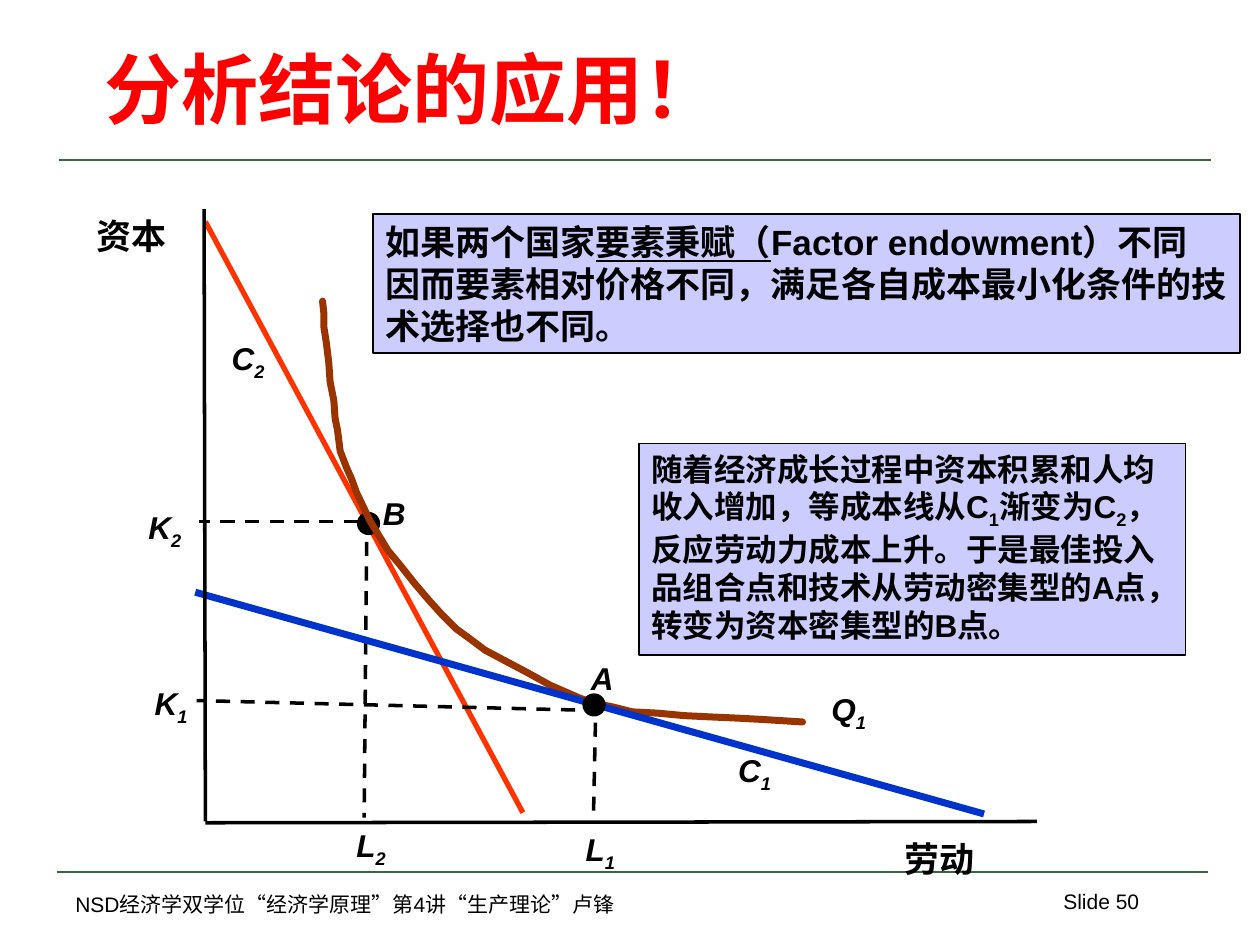
from lxml import etree
from pptx import Presentation
from pptx import util as u
from pptx.dml.color import RGBColor
from pptx.enum import dml, shapes, text
from pptx.oxml.ns import qn

BLACK = RGBColor(0x00, 0x00, 0x00)
RED = RGBColor(0xFF, 0x00, 0x00)
GREEN = RGBColor(0x37, 0x65, 0x46)
LILAC = RGBColor(0xCC, 0xCC, 0xFF)
ORANGE = RGBColor(0xFF, 0x33, 0x00)
BROWN = RGBColor(0x99, 0x33, 0x00)
BLUE = RGBColor(0x00, 0x33, 0xCC)
SUB, UNDERLINE = "sub", "underline"
LEFT, RIGHT = text.PP_ALIGN.LEFT, text.PP_ALIGN.RIGHT

ISOQUANT = [
    (0.93, 0.73), (0.94, 0.82), (0.94, 0.93), (0.96, 1.06), (0.98, 1.22),
    (0.99, 1.37), (1.02, 1.52), (1.03, 1.66), (1.05, 1.76), (1.07, 1.92),
    (1.12, 2.05), (1.16, 2.14), (1.2, 2.25), (1.31, 2.48), (1.45, 2.71),
    (1.55, 2.83), (1.66, 2.97), (1.78, 3.11), (1.88, 3.22), (1.99, 3.33),
    (2.1, 3.41), (2.22, 3.5), (2.37, 3.58), (2.54, 3.67), (2.74, 3.78),
    (2.97, 3.88), (3.08, 3.92), (3.23, 3.95), (3.39, 3.99), (3.59, 4),
    (3.8, 4.02), (4.01, 4.03), (4.23, 4.04), (4.42, 4.05), (4.74, 4.07),
]
LABELS = [
    ("L", "2", 1.1, 4.85, 0.43), ("L", "1", 2.92, 4.88, 0.43),
    ("C", "2", 0.11, 0.98, 0.46), ("C", "1", 4.13, 4.25, 0.46),
    ("K", "2", -0.55, 2.32, 0.46), ("K", "1", -0.5, 3.72, 0.46),
    ("Q", "1", 4.87, 3.77, 0.48),
    ("B", "", 1.31, 2.21, 0.38), ("A", "", 2.96, 3.52, 0.38),
]


def add_line(s, x1, y1, x2, y2, color, width, dashed=False):
    ends = [u.Inches(v) for v in (x1, y1, x2, y2)]
    c = s.shapes.add_connector(shapes.MSO_CONNECTOR.STRAIGHT, *ends)
    c.line.color.rgb = color
    c.line.width = u.Pt(width)
    if dashed:
        c.line.dash_style = dml.MSO_LINE.DASH
    etree.SubElement(c._element.spPr, qn("a:effectLst"))


def add_text(s, x, y, w, h, paragraphs, size, bold=True, italic=False,
             align=LEFT, wrap=False):
    sp = s.shapes.add_textbox(*[u.Inches(v) for v in (x, y, w, h)])
    tf = sp.text_frame
    tf.word_wrap = wrap
    for i, runs in enumerate(paragraphs):
        p = tf.paragraphs[0] if i == 0 else tf.add_paragraph()
        p.alignment = align
        f = p.font
        f.name, f.size, f.bold, f.italic = "Arial", u.Pt(size), bold, italic
        f.color.rgb = BLACK
        for words, style in runs:
            r = p.add_run()
            r.text = words
            if style == SUB:
                r._r.get_or_add_rPr().set("baseline", "-25000")
            elif style == UNDERLINE:
                r.font.underline = True
    return sp


def add_note(s, x, y, w, h, paragraphs, size, wrap):
    sp = add_text(s, x, y, w, h, paragraphs, size, wrap=wrap)
    sp.fill.solid()
    sp.fill.fore_color.rgb = LILAC
    sp.line.color.rgb = BLACK
    sp.line.width = u.Pt(1)


def add_header(s, x, y, w, h):
    sp = s.shapes.title
    sp.left, sp.top, sp.width, sp.height = [u.Inches(v) for v in (x, y, w, h)]
    tf = sp.text_frame
    tf.text = "分析结论的应用！"
    tf.auto_size = text.MSO_AUTO_SIZE.NONE
    tf.vertical_anchor = text.MSO_ANCHOR.BOTTOM
    p = tf.paragraphs[0]
    p.alignment = LEFT
    f = p.font
    f.name, f.size, f.bold = "Arial", u.Pt(44), True
    f.color.rgb = RED
    add_line(s, x - 0.26, y + 1.03, x + 8.88, y + 1.03, GREEN, 1.5)


def add_footer(s, x, y):
    add_line(s, x, y, x + 9.14, y, GREEN, 1.5)
    credit = "NSD经济学双学位“经济学原理”第4讲“生产理论”卢锋"
    add_text(s, x + 0.05, y + 0.11, 6.3, 0.3, [[(credit, None)]], 12,
             bold=False, wrap=True)
    add_text(s, x + 7.49, y + 0.08, 1.2, 0.5, [[("Slide 50", None)]], 12,
             bold=False, align=RIGHT, wrap=True)


def add_plot(s, x, y):
    def line(x1, y1, x2, y2, color, width, dashed=False):
        add_line(s, x + x1, y + y1, x + x2, y + y2, color, width, dashed)

    def point(px, py):
        box = [u.Inches(v) for v in (x + px, y + py, 0.17, 0.17)]
        sp = s.shapes.add_shape(shapes.MSO_SHAPE.OVAL, *box)
        sp.shadow.inherit = False
        sp.fill.solid()
        sp.fill.fore_color.rgb = BLACK
        sp.line.color.rgb = BLACK
        sp.line.width = u.Pt(1)

    def curve():
        pts = [(u.Inches(x + px), u.Inches(y + py)) for px, py in ISOQUANT]
        fb = s.shapes.build_freeform(*pts[0])
        fb.add_line_segments(pts[1:], close=False)
        sp = fb.convert_to_shape()
        sp.shadow.inherit = False
        sp.fill.background()
        sp.line.color.rgb = BROWN
        sp.line.width = u.Pt(4)
        sp.line._get_or_add_ln().set("cap", "rnd")

    line(0, 0.1, 2.52, 4.79, ORANGE, 3)
    point(1.21, 2.41)
    line(1.21, 2.48, -0.05, 2.48, BLACK, 2, True)
    line(1.28, 2.64, 1.26, 4.83, BLACK, 2, True)
    curve()
    line(-0.08, 3.04, 6.18, 4.8, BLUE, 4)
    line(3.13, 3.98, -0.07, 3.9, BLACK, 2, True)
    line(3.1, 3.88, 3.08, 4.83, BLACK, 2, True)
    point(3, 3.85)
    line(-0.01, 0, 0, 4.86, BLACK, 2)
    line(0, 4.87, 6.6, 4.86, BLACK, 2)
    for letter, index, lx, ly, w in LABELS:
        runs = [(letter, None)] + ([(index, SUB)] if index else [])
        add_text(s, x + lx, y + ly, w, 0.44 if index else 0.4, [runs], 18,
                 italic=True)
    add_text(s, x + 5.45, y + 4.94, 0.76, 0.43, [[("劳动", None)]], 20)
    add_text(s, x - 0.97, y - 0.01, 0.76, 0.43, [[("资本", None)]], 20,
             align=RIGHT)


def add_notes_on_plot(s, x, y):
    endowment = [
        [("如果两个国家", None), ("要素秉赋（", UNDERLINE),
         ("Factor endowment）不同", None)],
        [("因而要素相对价格不同，满足各自成本最小化条件的技", None)],
        [("术选择也不同。", None)],
    ]
    growth = [[
        ("随着经济成长过程中资本积累和人均收入增加，等成本线从C", None),
        ("1", SUB), ("渐变为C", None), ("2", SUB),
        ("，反应劳动力成本上升。于是最佳投入品组合点和技术从劳动密集型的"
         "A点，转变为资本密集型的B点。", None),
    ]]
    add_note(s, x, y, 6.88, 1.1, endowment, 20, wrap=False)
    add_note(s, x + 2.11, y + 1.82, 4.34, 1.68, growth, 18, wrap=True)


def main():
    prs = Presentation()
    prs.slide_width, prs.slide_height = u.Inches(10), u.Inches(7.5)
    s = prs.slides.add_slide(prs.slide_layouts[5])
    add_header(s, 0.73, 0.24, 8.73, 0.87)
    add_footer(s, 0.45, 6.92)
    add_plot(s, 1.63, 1.66)
    add_notes_on_plot(s, 2.96, 1.7)
    prs.save("out.pptx")


if __name__ == "__main__":
    main()
